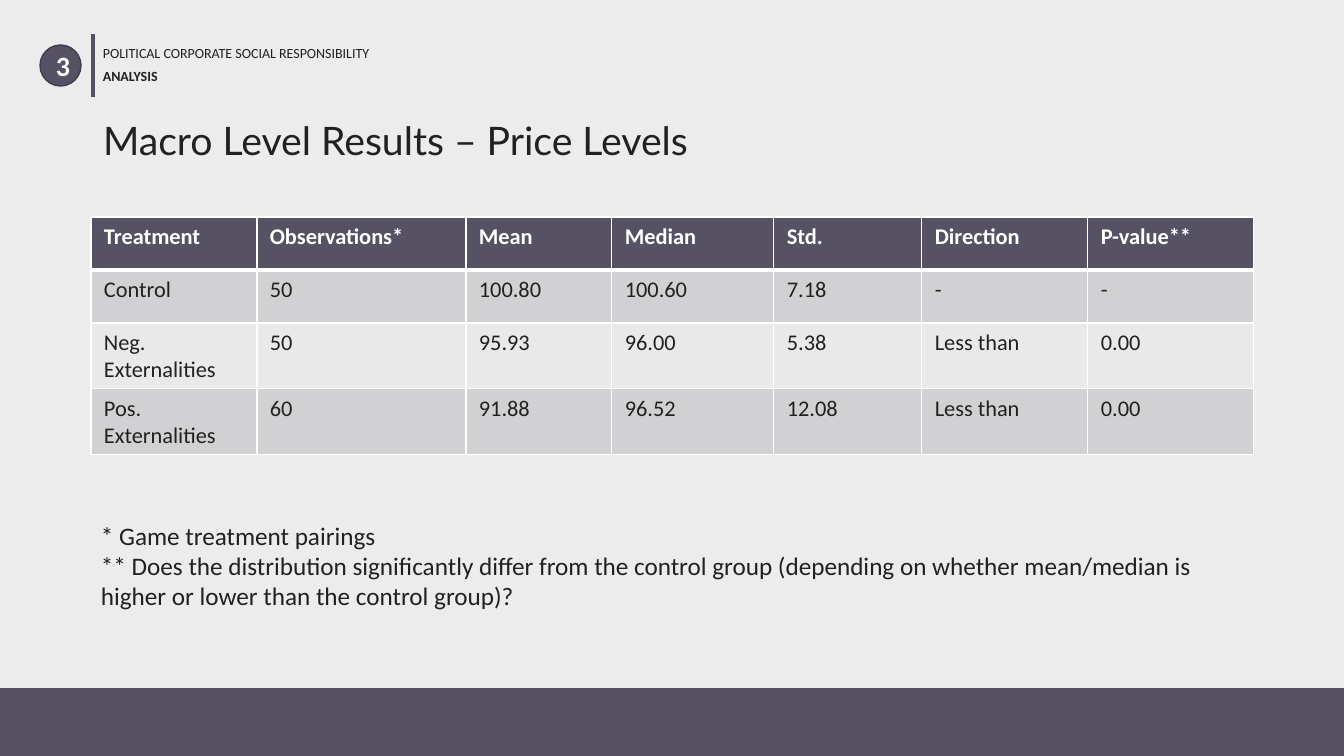
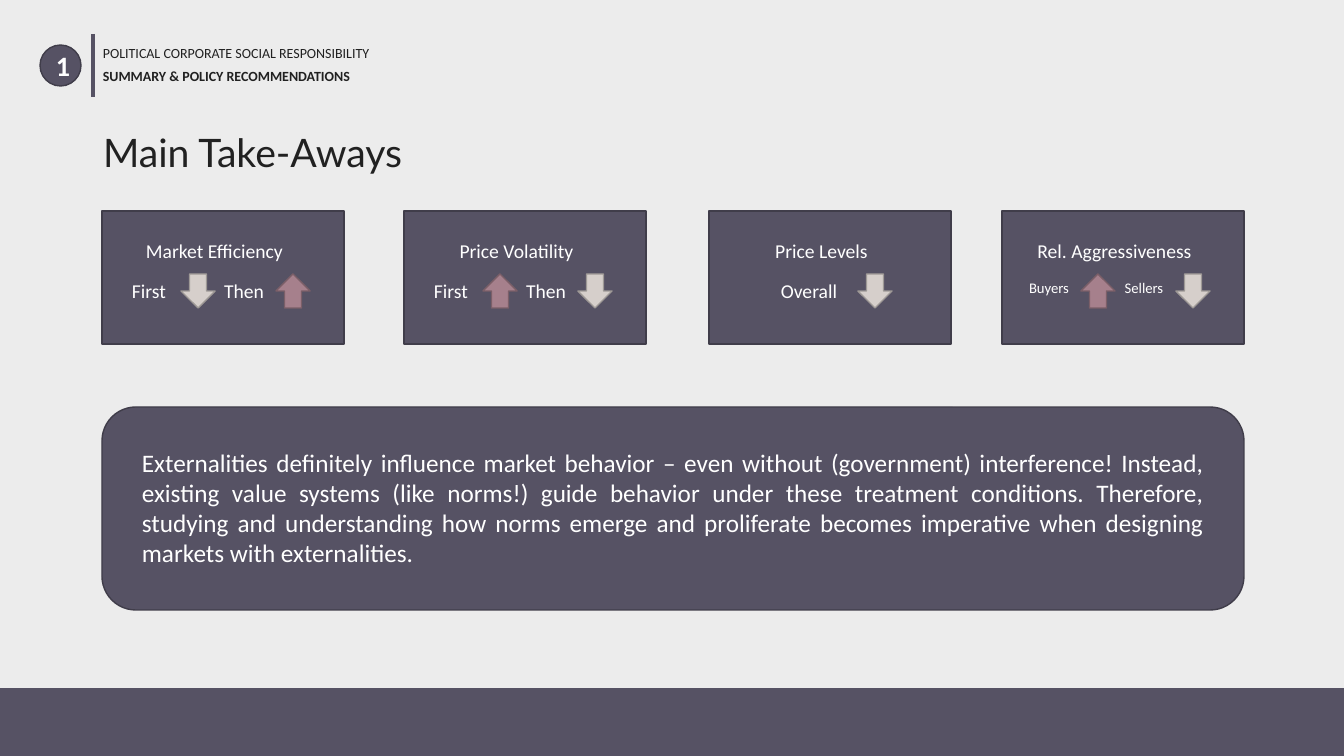
from lxml.etree import SubElement
from pptx import Presentation
from pptx.dml.color import RGBColor
from pptx.enum.shapes import MSO_CONNECTOR, MSO_SHAPE
from pptx.enum.text import MSO_ANCHOR, MSO_AUTO_SIZE, PP_ALIGN
from pptx.oxml.ns import qn
from pptx.util import Pt

PX = 9144000 / 1008
WIDTH, HEIGHT = 1344, 756
BACKGROUND, INK, WHITE = "ECECEC", "212121", "FFFFFF"
PRIMARY, PRIMARY_EDGE = "565264", "403D4A"
ROW_FILLS = ("D1D1D3", "E9E9EA")
# Rotation, fill and line of the arrow for each direction
ARROWS = {"up": (0, "A6808C", "7B5F68"), "down": (180, "D6CFCB", "9E9996")}
BODY_FONT, TITLE_FONT = "Calibri", "Lato"
TALK = "POLITICAL CORPORATE SOCIAL RESPONSIBILITY"

RESULTS = [
    ("Treatment", "Observations*", "Mean", "Median", "Std.", "Direction", "P-value**"),
    ("Control", "50", "100.80", "100.60", "7.18", "-", "-"),
    ("Neg. Externalities", "50", "95.93", "96.00", "5.38", "Less than", "0.00"),
    ("Pos. Externalities", "60", "91.88", "96.52", "12.08", "Less than", "0.00"),
]
COLUMN_WIDTHS = (166, 209, 146, 162, 148, 166, 166)
FOOTNOTES = (
    "* Game treatment pairings\n"
    "** Does the distribution significantly differ from the control group "
    "(depending on whether mean/median is higher or lower than the control group)?"
)

# Card left, heading, label size, signals: label, offset in card, width, direction
TAKEAWAYS = [
    (102, "Market Efficiency", 14, [("First", 15, 64, "down"), ("Then", 110, 64, "up")]),
    (404, "Price Volatility", 14, [("First", 15, 64, "up"), ("Then", 110, 64, "down")]),
    (709, "Price Levels", 14, [("Overall", 51, 98, "down")]),
    (1002, "Rel. Aggressiveness", 10.5,
     [("Buyers", 15, 64, "up"), ("Sellers", 110, 64, "down")]),
]
CONCLUSION = (
    "Externalities definitely influence market behavior – even without (government) "
    "interference! Instead, existing value systems (like norms!) guide behavior under "
    "these treatment conditions. Therefore, studying and understanding how norms emerge "
    "and proliferate becomes imperative when designing markets with externalities."
)


def px(length):
    return round(length * PX)


def box_emu(box):
    return [px(length) for length in box]


def color(hex_code):
    return RGBColor.from_string(hex_code)


def write(frame, text, size, ink=INK, bold=False, align=PP_ALIGN.LEFT, font=BODY_FONT):
    frame.word_wrap = True
    frame.text = text
    for paragraph in frame.paragraphs:
        paragraph.alignment = align
        for run in paragraph.runs:
            run.font.name = font
            run.font.size = Pt(size)
            run.font.bold = bold
            run.font.color.rgb = color(ink)


def add_text(shapes, box, text, size, **style):
    write(shapes.add_textbox(*box_emu(box)).text_frame, text, size, **style)


def add_filled(shapes, kind, box, fill=PRIMARY, edge=PRIMARY_EDGE):
    shape = shapes.add_shape(kind, *box_emu(box))
    shape.shadow.inherit = False
    shape.fill.solid()
    shape.fill.fore_color.rgb = color(fill)
    if edge:
        shape.line.color.rgb = color(edge)
        shape.line.width = Pt(1)
    else:
        shape.line.fill.background()
    return shape


def style_layout(layout, band):
    """Give the layout the background and take over the bottom band."""
    layout.background.fill.solid()
    layout.background.fill.fore_color.rgb = color(BACKGROUND)
    layout.shapes.element.insert(2, band.element)


def set_title(slide, box, text):
    title = slide.shapes.title
    title.left, title.top, title.width, title.height = box_emu(box)
    frame = title.text_frame
    write(frame, text, 28, font=TITLE_FONT)
    frame.auto_size = MSO_AUTO_SIZE.NONE
    frame.vertical_anchor = MSO_ANCHOR.MIDDLE
    frame.paragraphs[0].line_spacing = 0.9


def add_section_header(slide, left, top, number, section):
    shapes = slide.shapes.add_group_shape().shapes
    badge = add_filled(shapes, MSO_SHAPE.OVAL, (left, top + 11, 41, 41))
    write(badge.text_frame, number, 20, ink=WHITE, bold=True, align=PP_ALIGN.CENTER)
    text_left = left + 53
    rule = shapes.add_connector(
        MSO_CONNECTOR.STRAIGHT, *box_emu((text_left, top, text_left, top + 63)))
    rule.line.color.rgb = color(PRIMARY)
    rule.line.width = Pt(2.25)
    SubElement(rule.element.spPr, qn("a:effectLst"))
    add_text(shapes, (text_left, top + 29, 404, 27), section, 10, bold=True)
    add_text(shapes, (text_left, top + 6, 443, 27), TALK, 10)


def set_borders(cell, top=1, bottom=1):
    properties = cell._tc.get_or_add_tcPr()
    widths = {"a:lnL": 1, "a:lnR": 1, "a:lnT": top, "a:lnB": bottom}
    for position, (side, width) in enumerate(widths.items()):
        border = SubElement(properties, qn(side), w=str(Pt(width)))
        paint = SubElement(border, qn("a:solidFill"))
        SubElement(paint, qn("a:srgbClr"), val=WHITE)
        properties.insert(position, border)


def add_results_table(slide, left, top, row_height=53):
    box = (left, top, sum(COLUMN_WIDTHS), row_height * len(RESULTS))
    table = slide.shapes.add_table(
        len(RESULTS), len(COLUMN_WIDTHS), *box_emu(box)).table
    for column, width in zip(table.columns, COLUMN_WIDTHS):
        column.width = px(width)
    for r, values in enumerate(RESULTS):
        header = r == 0
        for c, value in enumerate(values):
            cell = table.cell(r, c)
            cell.margin_left = cell.margin_right = px(13)
            cell.margin_top = cell.margin_bottom = px(6)
            cell.fill.solid()
            cell.fill.fore_color.rgb = color(PRIMARY if header else ROW_FILLS[(r - 1) % 2])
            set_borders(cell, top=3 if r == 1 else 1, bottom=3 if header else 1)
            write(cell.text_frame, value, 16, ink=WHITE if header else INK, bold=header)


def add_takeaway_card(slide, left, top, heading, label_size, signals):
    shapes = slide.shapes.add_group_shape().shapes
    white_centered = {"ink": WHITE, "align": PP_ALIGN.CENTER}
    add_filled(shapes, MSO_SHAPE.RECTANGLE, (left, top, 242, 133))
    add_text(shapes, (left + 21, top + 23, 183, 34), heading, 14, **white_centered)
    signal_top = top + 63
    for label, offset, width, direction in signals:
        label_left = left + offset
        add_text(shapes, (label_left, signal_top, width, 34), label, label_size,
                 **white_centered)
        rotation, fill, edge = ARROWS[direction]
        arrow = add_filled(shapes, MSO_SHAPE.UP_ARROW,
                           (label_left + width, signal_top, 34, 34), fill, edge)
        arrow.rotation = rotation


def add_conclusion(slide, box):
    panel = add_filled(slide.shapes, MSO_SHAPE.ROUNDED_RECTANGLE, box)
    frame = panel.text_frame
    write(frame, CONCLUSION, 18, ink=WHITE, align=PP_ALIGN.JUSTIFY)
    frame.vertical_anchor = MSO_ANCHOR.TOP
    frame.margin_left = frame.margin_right = px(30)
    frame.margin_top = frame.margin_bottom = px(30)


def build_price_levels(slide):
    set_title(slide, (93, 98, 1159, 89), "Macro Level Results – Price Levels")
    add_section_header(slide, 40, 34, "3", "ANALYSIS")
    add_results_table(slide, 91, 217)
    add_text(slide.shapes, (91, 515, 1162, 102), FOOTNOTES, 18)


def build_takeaways(slide):
    set_title(slide, (93, 124, 1159, 62), "Main Take-Aways")
    add_section_header(slide, 40, 34, "1", "SUMMARY & POLICY RECOMMENDATIONS")
    for left, heading, label_size, signals in TAKEAWAYS:
        add_takeaway_card(slide, left, 211, heading, label_size, signals)
    add_conclusion(slide, (102, 407, 1142, 203))


def main():
    prs = Presentation()
    prs.slide_width, prs.slide_height = px(WIDTH), px(HEIGHT)
    layout = prs.slide_layouts[5]
    price_levels, takeaways = (prs.slides.add_slide(layout) for _ in range(2))
    band = add_filled(price_levels.shapes, MSO_SHAPE.RECTANGLE,
                      (0, 688, WIDTH, HEIGHT - 688), edge=None)
    style_layout(layout, band)
    build_price_levels(price_levels)
    build_takeaways(takeaways)
    prs.save("out.pptx")


if __name__ == "__main__":
    main()
